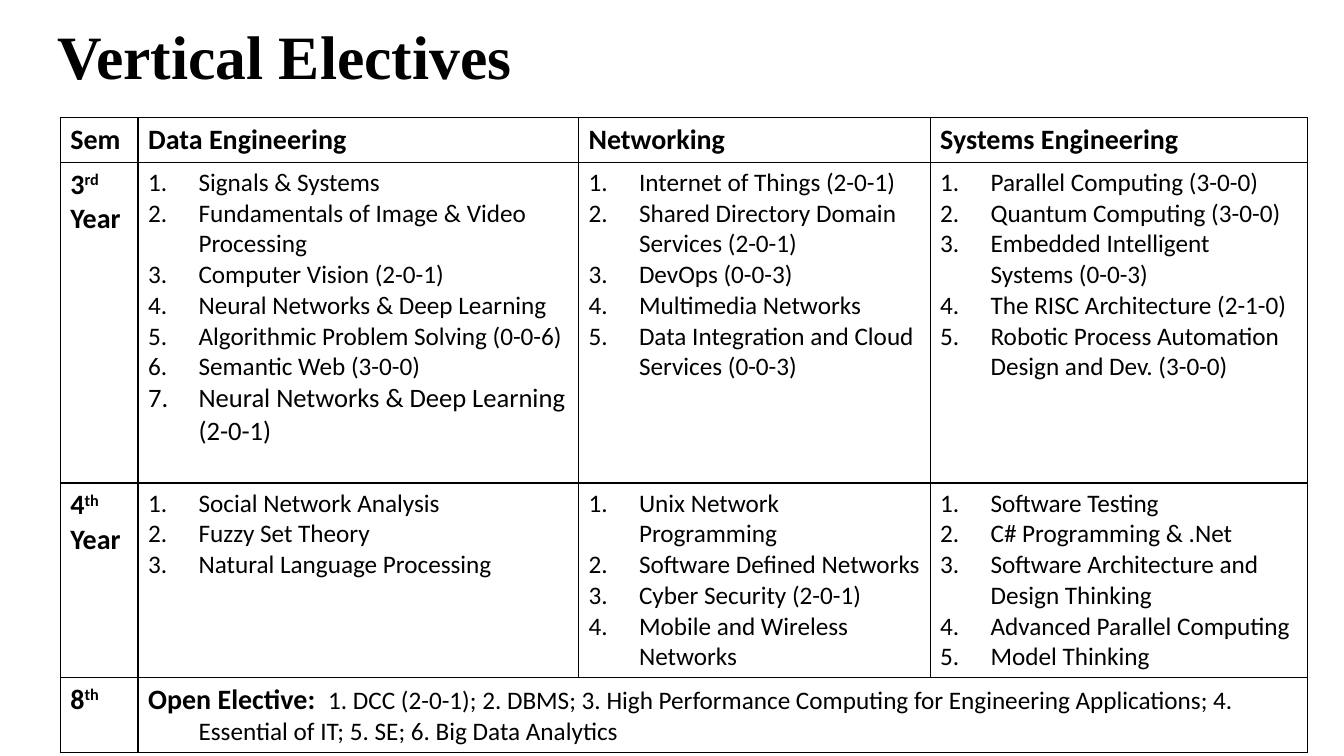
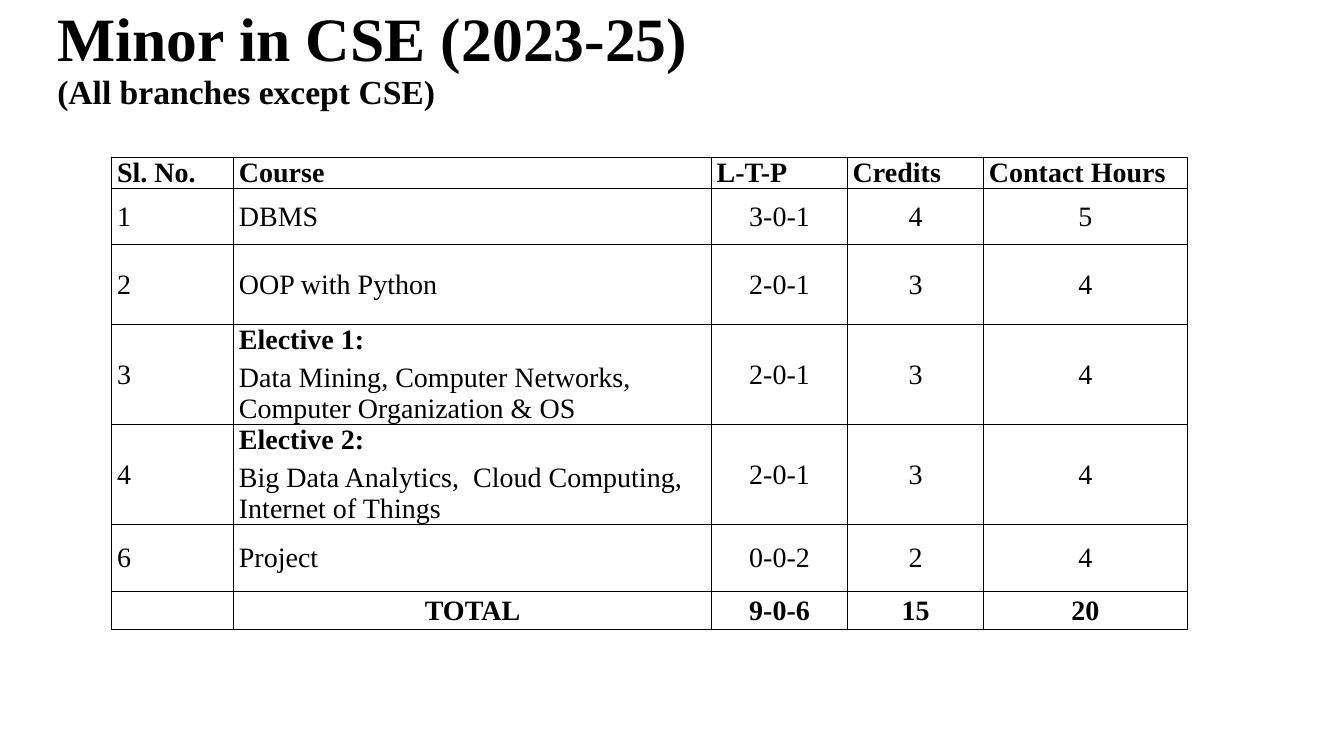
import pptx
import pptx.util
import pptx.dml.color
import pptx.enum.text
import pptx.oxml
import pptx.oxml.ns
from pptx.util import Cm, Pt

ALIGN = pptx.enum.text.PP_ALIGN
ANCHOR = pptx.enum.text.MSO_ANCHOR
SERIF = "Times New Roman"
SANS = "Calibri"
INK = "000000"


def color(code):
    return pptx.dml.color.RGBColor.from_string(code)


class Deck:
    def __init__(self):
        self.file = pptx.Presentation()
        self.file.slide_width = Cm(33.87)
        self.file.slide_height = Cm(19.05)
        self.slide = None

    def style(self, font, face, size, bold=False):
        font.name = face
        font.size = Pt(size)
        font.bold = bold
        font.color.rgb = color(INK)

    def page(self, title, note=None):
        self.slide = self.file.slides.add_slide(self.file.slide_layouts[5])
        head = self.slide.shapes.title
        head.left, head.top = Cm(1.19), Cm(0.2)
        head.width, head.height = Cm(29.21), Cm(2.62)
        frame = head.text_frame
        frame.auto_size = pptx.enum.text.MSO_AUTO_SIZE.NONE
        frame.vertical_anchor = ANCHOR.MIDDLE
        par = frame.paragraphs[0]
        par.alignment = ALIGN.LEFT
        par.line_spacing = 0.9
        self.run(par, title, SERIF, 44, True)
        if note:
            par.add_line_break()
            self.run(par, note, SERIF, 24, True)

    def run(self, par, text, face, size, bold):
        run = par.add_run()
        run.text = text
        self.style(run.font, face, size, bold)

    def table(self, left, top, cols, rows):
        frame = self.slide.shapes.add_table(
            len(rows), len(cols), Cm(left), Cm(top), Cm(sum(cols)), Cm(sum(rows)))
        grid = frame.table
        grid.first_row = grid.horz_banding = False
        for col, width in zip(grid.columns, cols):
            col.width = Cm(width)
        for row, height in zip(grid.rows, rows):
            row.height = Cm(height)
        for cell in grid.iter_cells():
            cell.fill.background()
            self.border(cell)
        return grid

    def border(self, cell):
        props = cell._tc.get_or_add_tcPr()
        space = pptx.oxml.ns.nsdecls("a")
        for spot, side in enumerate("LRTB"):
            line = pptx.oxml.parse_xml(
                f'<a:ln{side} {space} w="12700"><a:solidFill>'
                f'<a:srgbClr val="{INK}"/></a:solidFill></a:ln{side}>')
            props.insert(spot, line)

    def lines(self, cell, texts, face, size, bold=False):
        frame = cell.text_frame
        for spot, text in enumerate(texts):
            par = frame.add_paragraph() if spot else frame.paragraphs[0]
            par.text = text
            self.style(par.font, face, size, bold)
        return frame.paragraphs

    def hang(self, par, number=True):
        props = par._p.get_or_add_pPr()
        props.set("marL", str(Cm(1.27)))
        props.set("indent", str(-Cm(1.27)))
        if number:
            mark = pptx.oxml.parse_xml(
                f'<a:buAutoNum {pptx.oxml.ns.nsdecls("a")} type="arabicPeriod"/>')
            props.insert(0, mark)

    def items(self, cell, texts):
        for par in self.lines(cell, texts, SANS, 18):
            self.hang(par)

    def term(self, cell, digit, suffix, rest=""):
        par = cell.text_frame.paragraphs[0]
        self.style(par.font, SANS, 20, True)
        for text in filter(None, (digit, suffix, rest)):
            run = par.add_run()
            run.text = text
            if text == suffix:
                run._r.get_or_add_rPr().set("baseline", "30000")

    def course(self, cell, texts, bold, center):
        cell.margin_left = cell.margin_right = Cm(0.13)
        cell.margin_top = cell.margin_bottom = 0
        cell.vertical_anchor = ANCHOR.MIDDLE
        pars = self.lines(cell, texts, SERIF, 20, bold)
        for par in pars:
            par.space_before = par.space_after = Pt(2.4)
            par.alignment = ALIGN.CENTER if center else ALIGN.LEFT
        if len(pars) > 1:
            pars[0].font.bold = True


def verticals(deck):
    deck.page("Vertical Electives")
    grid = deck.table(1.52, 2.97, [1.96, 11.1, 8.86, 9.5], [1.12, 8.08, 4.9, 1.88])
    heads = ["Sem", "Data Engineering", "Networking", "Systems Engineering"]
    for col, head in enumerate(heads):
        deck.lines(grid.cell(0, col), [head], SANS, 20, True)
    years = [
        ("3", "rd", [
            ["Signals & Systems", "Fundamentals of Image & Video Processing",
             "Computer Vision (2-0-1)", "Neural Networks & Deep Learning",
             "Algorithmic Problem Solving (0-0-6)", "Semantic Web (3-0-0)",
             "Neural Networks & Deep Learning (2-0-1)"],
            ["Internet of Things (2-0-1)", "Shared Directory Domain Services (2-0-1)",
             "DevOps (0-0-3)", "Multimedia Networks",
             "Data Integration and Cloud Services (0-0-3)"],
            ["Parallel Computing (3-0-0)", "Quantum Computing (3-0-0)",
             "Embedded Intelligent Systems (0-0-3)", "The RISC Architecture (2-1-0)",
             "Robotic Process Automation Design and Dev. (3-0-0)"]]),
        ("4", "th", [
            ["Social Network Analysis", "Fuzzy Set Theory", "Natural Language Processing"],
            ["Unix Network Programming", "Software Defined Networks",
             "Cyber Security (2-0-1)", "Mobile and Wireless Networks"],
            ["Software Testing", "C# Programming & .Net",
             "Software Architecture and Design Thinking",
             "Advanced Parallel Computing", "Model Thinking"]]),
    ]
    for row, (digit, suffix, lists) in enumerate(years, 1):
        deck.term(grid.cell(row, 0), digit, suffix, " Year")
        for col, texts in enumerate(lists, 1):
            deck.items(grid.cell(row, col), texts)
    grid.cell(1, 1).text_frame.paragraphs[-1].font.size = Pt(19)
    deck.term(grid.cell(3, 0), "8", "th")
    grid.cell(3, 1).merge(grid.cell(3, 3))
    par = grid.cell(3, 1).text_frame.paragraphs[0]
    deck.hang(par, False)
    deck.run(par, "Open Elective:  ", SANS, 20, True)
    deck.run(par, "1. DCC (2-0-1); 2. DBMS; 3. High Performance Computing for "
             "Engineering Applications; 4. Essential of IT; 5. SE; "
             "6. Big Data Analytics", SANS, 18, False)


def minor(deck):
    deck.page("Minor in CSE (2023-25)", "(All branches except CSE)")
    rows = [
        ("Sl. No.", "Course", "L-T-P", "Credits", "Contact Hours"),
        ("1", "DBMS", "3-0-1", "4", "5"),
        ("2", "OOP with Python", "2-0-1", "3", "4"),
        ("3", "Elective 1:\nData Mining, Computer Networks,  "
         "Computer Organization & OS", "2-0-1", "3", "4"),
        ("4", "Elective 2:\nBig Data Analytics,  Cloud Computing,  "
         "Internet of Things", "2-0-1", "3", "4"),
        ("6", "Project", "0-0-2", "2", "4"),
        ("", "TOTAL", "9-0-6", "15", "20"),
    ]
    grid = deck.table(2.82, 3.96, [3.07, 12.04, 3.43, 3.43, 5.13],
                      [0.79, 1.42, 2.01, 2.51, 2.51, 1.68, 0.97])
    last = len(rows) - 1
    for row, texts in enumerate(rows):
        for col, text in enumerate(texts):
            center = row == last or (row > 0 and col > 1)
            deck.course(grid.cell(row, col), text.split("\n"), row in (0, last), center)


def main():
    deck = Deck()
    verticals(deck)
    minor(deck)
    deck.file.save("out.pptx")


if __name__ == "__main__":
    main()
